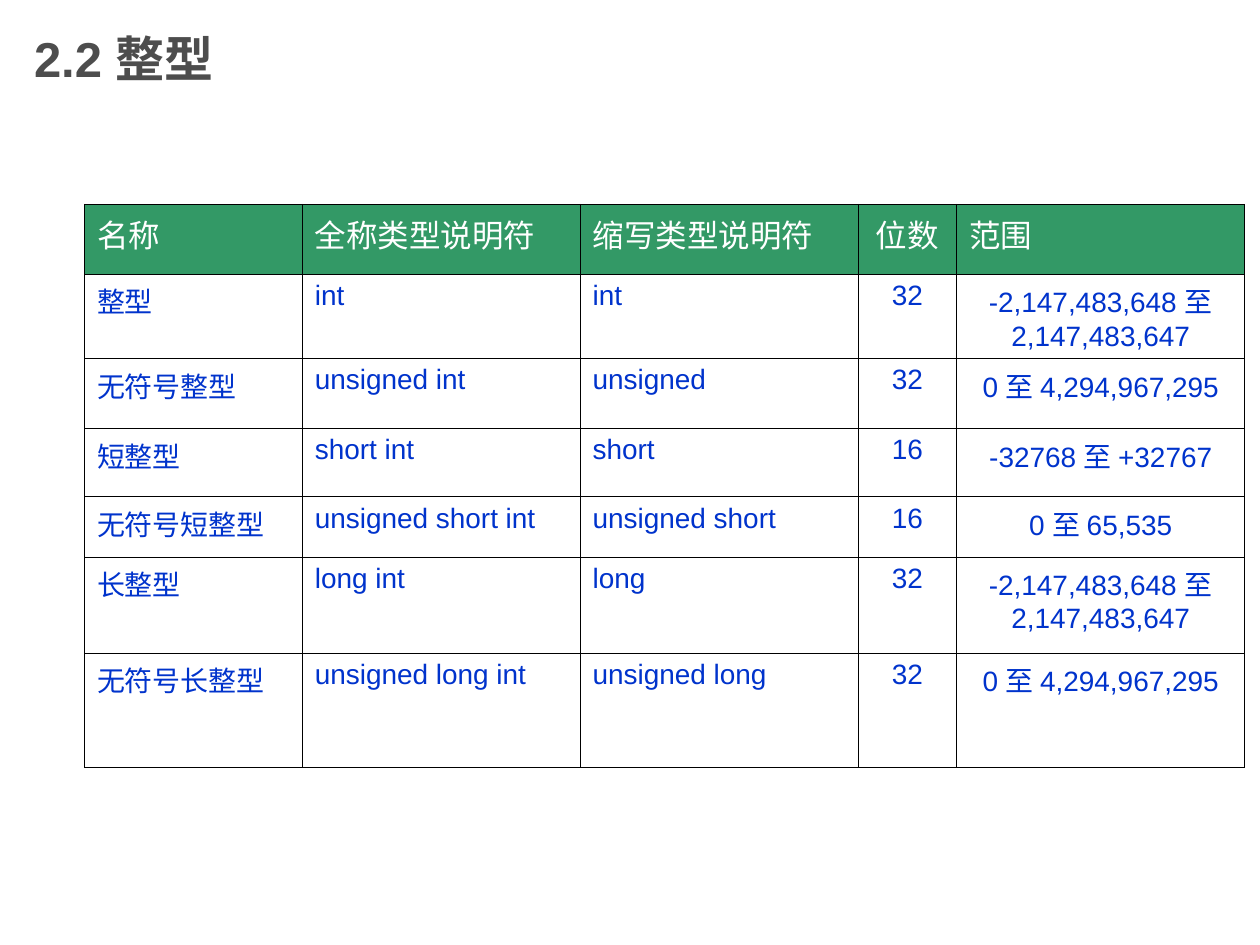
"""Build the slide that tabulates the integer types with their widths and ranges."""
from lxml.etree import SubElement
from pptx import Presentation
from pptx.dml.color import RGBColor
from pptx.enum.text import MSO_ANCHOR, PP_ALIGN
from pptx.oxml.ns import qn
from pptx.util import Pt

THEME = {
    "title": {"name": "Arial", "size": Pt(28), "bold": True, "color": "4D4D4D"},
    "header": {"name": "Times New Roman", "size": Pt(18), "bold": False, "color": "FFFFFF"},
    "body": {"name": "Arial", "size": Pt(16), "bold": False, "color": "0033CC"},
    "header_fill": "339966",
    "border": {"color": "000000", "width": Pt(0.45)},
}


def format_text(paragraph, style, alignment):
    paragraph.alignment = alignment
    for attribute, value in style.items():
        if attribute == "color":
            paragraph.font.color.rgb = RGBColor.from_string(value)
        else:
            setattr(paragraph.font, attribute, value)


def draw_borders(cell):
    properties = cell._tc.get_or_add_tcPr()
    for side in ("a:lnL", "a:lnR", "a:lnT", "a:lnB"):
        line = SubElement(properties, qn(side), w=str(THEME["border"]["width"]))
        solid = SubElement(line, qn("a:solidFill"))
        SubElement(solid, qn("a:srgbClr"), val=THEME["border"]["color"])


presentation = Presentation()
presentation.slide_width, presentation.slide_height = Pt(720), Pt(540)
slide = presentation.slides.add_slide(presentation.slide_layouts[5])

heading = slide.shapes.title
heading_box = {"left": Pt(12.24), "top": Pt(0), "width": Pt(540), "height": Pt(66.24)}
for attribute, value in heading_box.items():
    setattr(heading, attribute, value)
heading.text_frame.text = "2.2 整型"
heading.text_frame.vertical_anchor = MSO_ANCHOR.MIDDLE
format_text(heading.text_frame.paragraphs[0], THEME["title"], PP_ALIGN.LEFT)

integer_types = [
    ("名称", "全称类型说明符", "缩写类型说明符", "位数", "范围"),
    ("整型", "int", "int", "32", "-2,147,483,648 至 2,147,483,647"),
    ("无符号整型", "unsigned int", "unsigned", "32", "0 至 4,294,967,295"),
    ("短整型", "short int", "short", "16", "-32768 至 +32767"),
    ("无符号短整型", "unsigned short int", "unsigned short", "16", "0 至 65,535"),
    ("长整型", "long int", "long", "32", "-2,147,483,648 至 2,147,483,647"),
    ("无符号长整型", "unsigned long int", "unsigned long", "32", "0 至 4,294,967,295"),
]
column_widths = [124.5, 158.75, 158.75, 56.5, 164.5]
row_heights = [40, 46, 40, 39, 34.5, 55, 65.5]

type_grid = slide.shapes.add_table(
    len(row_heights), len(column_widths),
    Pt(48.24), Pt(116.75), Pt(sum(column_widths)), Pt(sum(row_heights)),
).table
type_grid.first_row = type_grid.horz_banding = False
for column, width in zip(type_grid.columns, column_widths):
    column.width = Pt(width)
for row, height in zip(type_grid.rows, row_heights):
    row.height = Pt(height)

for row_index, entries in enumerate(integer_types):
    is_header = row_index == 0
    for column_index, entry in enumerate(entries):
        cell = type_grid.cell(row_index, column_index)
        cell.text = entry
        draw_borders(cell)
        if is_header:
            cell.fill.solid()
            cell.fill.fore_color.rgb = RGBColor.from_string(THEME["header_fill"])
        else:
            cell.fill.background()
        centred = column_index == 3 or (column_index == 4 and not is_header)
        format_text(
            cell.text_frame.paragraphs[0],
            THEME["header" if is_header else "body"],
            PP_ALIGN.CENTER if centred else PP_ALIGN.LEFT,
        )

presentation.save("out.pptx")
